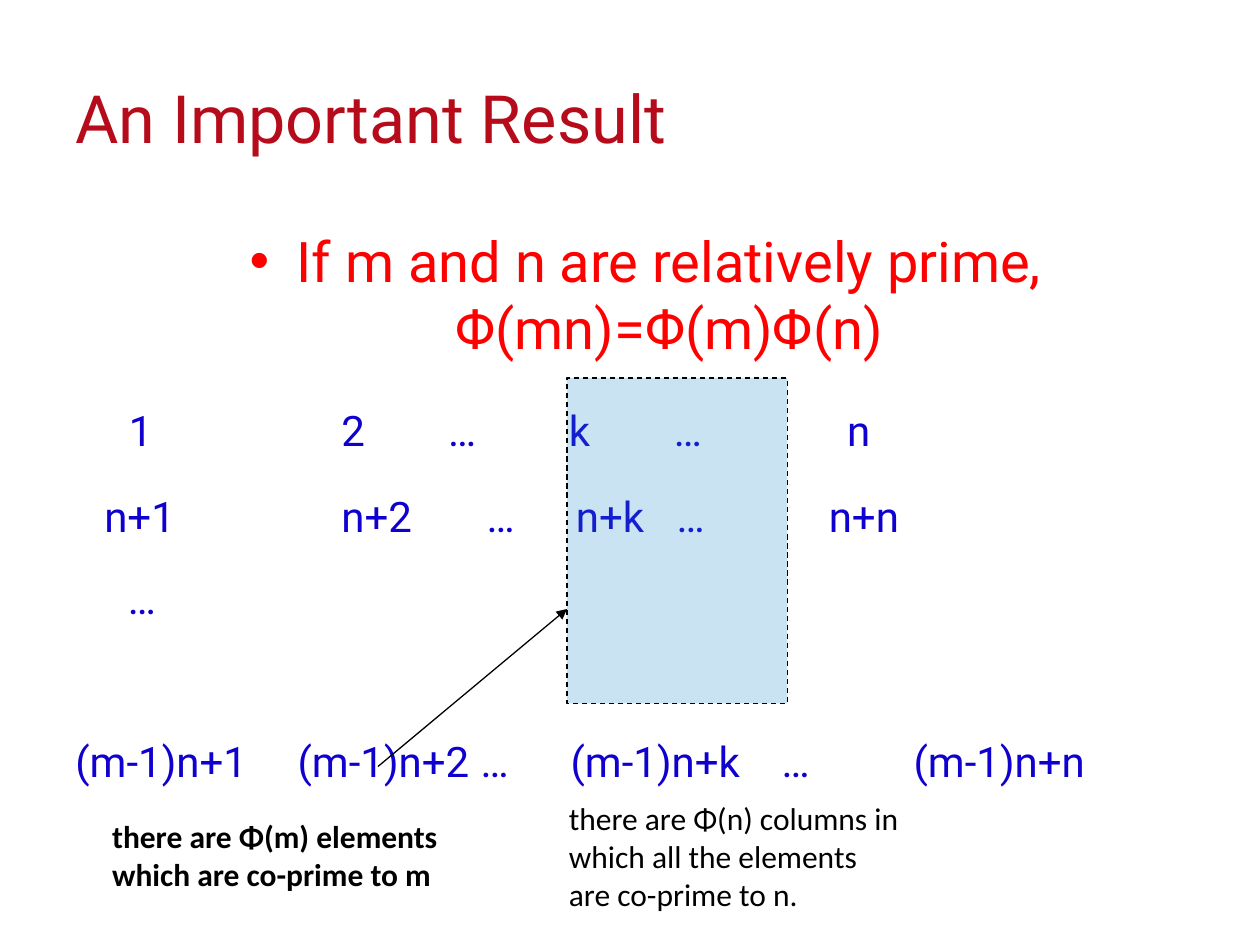
from typing import NamedTuple

from lxml.etree import SubElement
from pptx import Presentation
from pptx.dml.color import RGBColor
from pptx.enum.dml import MSO_LINE
from pptx.enum.shapes import MSO_CONNECTOR, MSO_SHAPE
from pptx.enum.text import MSO_ANCHOR, PP_ALIGN
from pptx.oxml.ns import qn
from pptx.util import Pt

COLORS = {
    "title": "B50B1B",
    "theorem": "FF0000",
    "matrix": "1000CF",
    "column": "1D86CD",
    "ink": "000000",
}


class Entry(NamedTuple):
    text: str
    left: float


class Row(NamedTuple):
    entries: list[Entry]
    before: float = 6
    after: float = 12


class Caption(NamedTuple):
    text: str
    left: float
    top: float
    width: float
    height: float
    bold: bool


ROWS = [
    Row([Entry("1", 30.5), Entry("2", 152), Entry("…", 213), Entry("k", 282),
         Entry("…", 342), Entry("n", 441)], before=13, after=14),
    Row([Entry("n+1", 16.5), Entry("n+2", 152), Entry("…", 235), Entry("n+k", 286),
         Entry("…", 343.5), Entry("n+n", 430.5)]),
    Row([Entry("…", 30)]),
    Row([Entry("(m-1)n+1", 0), Entry("(m-1)n+2", 127), Entry("…", 231.5),
         Entry("(m-1)n+k", 283), Entry("…", 403.5), Entry("(m-1)n+n", 479)], before=52.7),
]

CAPTIONS = [
    Caption("there are Φ(m) elements which are co-prime to m", 57, 463.5, 210, 72, True),
    Caption("there are Φ(n) columns in which all the elements are co-prime to n.",
            318, 453, 204, 93.6, False),
]


def color(key: str) -> RGBColor:
    return RGBColor.from_string(COLORS[key])


def add_run(paragraph, text: str, font: str, size: float, key: str, bold: bool = False) -> None:
    run = paragraph.add_run()
    run.text = text
    run.font.name = font
    run.font.size = Pt(size)
    run.font.bold = bold
    run.font.color.rgb = color(key)


def add_text_frame(slide, left: float, top: float, width: float, height: float):
    frame = slide.shapes.add_textbox(Pt(left), Pt(top), Pt(width), Pt(height)).text_frame
    frame.word_wrap = True
    return frame


def set_title(slide) -> None:
    title = slide.shapes.title
    title.left, title.top, title.width, title.height = Pt(36), Pt(21.6), Pt(648), Pt(90)
    title.text_frame.vertical_anchor = MSO_ANCHOR.MIDDLE
    heading = title.text_frame.paragraphs[0]
    heading.alignment = PP_ALIGN.LEFT
    add_run(heading, "An Important Result", "Roboto", 38, "title")


def write_theorem(paragraph) -> None:
    paragraph.alignment = PP_ALIGN.CENTER
    paragraph.space_after = Pt(12)
    properties = paragraph._p.get_or_add_pPr()
    properties.set("marL", str(Pt(27)))
    properties.set("indent", str(Pt(-27)))
    SubElement(properties, qn("a:buFont"), typeface="Arial")
    SubElement(properties, qn("a:buChar"), char="•")
    add_run(paragraph, "If m and n are relatively prime, Φ(mn)=Φ(m)Φ(n)", "Roboto", 32, "theorem")


def write_row(paragraph, row: Row) -> None:
    paragraph.space_before = Pt(row.before)
    paragraph.space_after = Pt(row.after)
    stops = SubElement(paragraph._p.get_or_add_pPr(), qn("a:tabLst"))
    for entry in row.entries:
        if entry.left:
            SubElement(stops, qn("a:tab"), pos=str(Pt(entry.left)), algn="l")
        lead = "\t" if entry.left else ""
        add_run(paragraph, lead + entry.text, "Roboto", 24, "matrix")


def add_column_highlight(slide) -> None:
    column = slide.shapes.add_shape(MSO_SHAPE.RECTANGLE, Pt(324), Pt(216), Pt(126), Pt(186))
    column.shadow.inherit = False
    column.fill.solid()
    column.fill.fore_color.rgb = color("column")
    fill_color = column._element.spPr.find(qn("a:solidFill")).find(qn("a:srgbClr"))
    SubElement(fill_color, qn("a:alpha"), val="23000")
    column.line.color.rgb = color("ink")
    column.line.width = Pt(0.75)
    column.line.dash_style = MSO_LINE.DASH


def add_arrow(slide) -> None:
    arrow = slide.shapes.add_connector(
        MSO_CONNECTOR.STRAIGHT, Pt(216), Pt(438), Pt(324), Pt(348))
    arrow.line.color.rgb = color("ink")
    arrow.line.width = Pt(0.75)
    SubElement(arrow.line._get_or_add_ln(), qn("a:tailEnd"), type="triangle")
    SubElement(arrow._element.spPr, qn("a:effectLst"))


def add_caption(slide, caption: Caption) -> None:
    frame = add_text_frame(slide, caption.left, caption.top, caption.width, caption.height)
    add_run(frame.paragraphs[0], caption.text, "Calibri", 18, "ink", caption.bold)


def main() -> None:
    deck = Presentation()
    deck.slide_width, deck.slide_height = Pt(720), Pt(540)
    slide = deck.slides.add_slide(deck.slide_layouts[5])
    set_title(slide)
    body = add_text_frame(slide, 36, 126, 666, 394)
    write_theorem(body.paragraphs[0])
    for row in ROWS:
        write_row(body.add_paragraph(), row)
    add_column_highlight(slide)
    add_arrow(slide)
    for caption in CAPTIONS:
        add_caption(slide, caption)
    deck.save("out.pptx")


if __name__ == "__main__":
    main()
